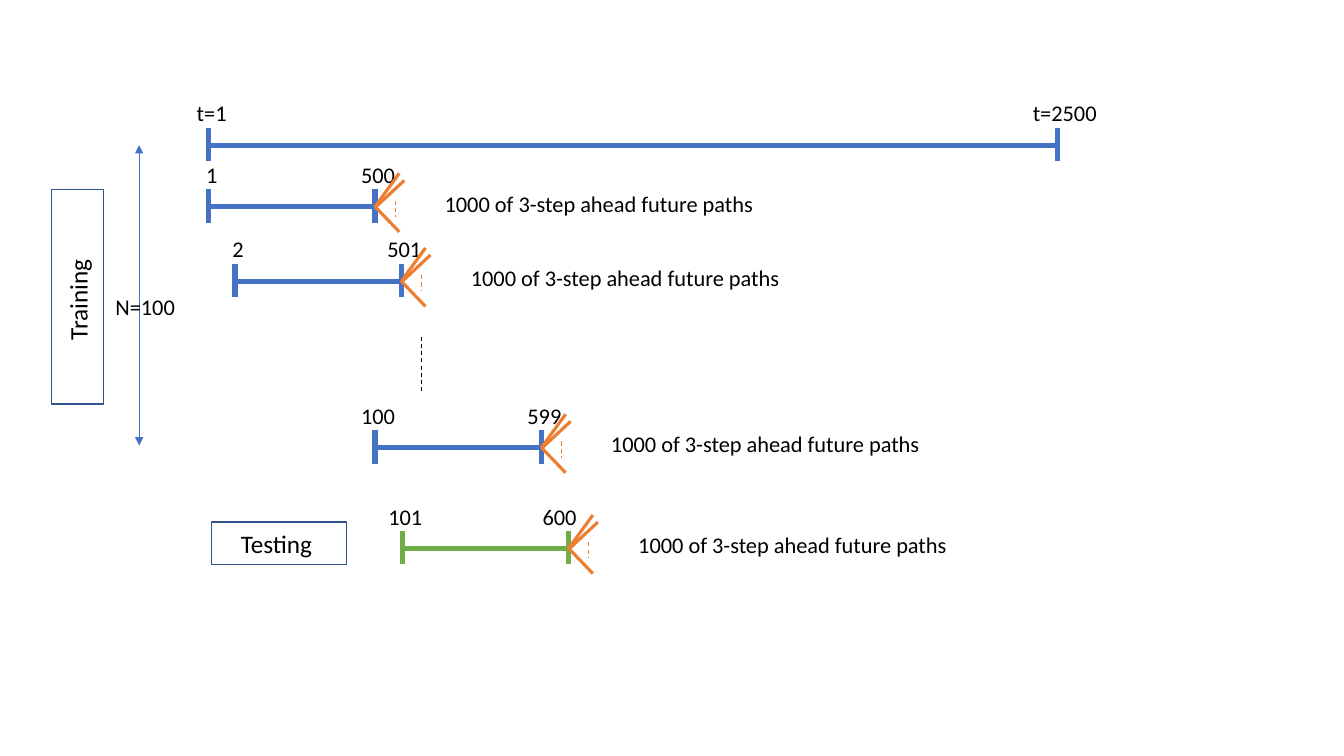
from pptx import Presentation
from pptx import util as u
from pptx.dml.color import RGBColor
from pptx.enum import dml, shapes, text
from pptx.oxml.ns import qn
from lxml import etree

BLUE = RGBColor(0x44, 0x72, 0xC4)
GREEN = RGBColor(0x70, 0xAD, 0x47)
ORANGE = RGBColor(0xED, 0x7D, 0x31)
BORDER = RGBColor(0x32, 0x54, 0x91)
BLACK = RGBColor(0, 0, 0)

FONT = "Calibri"
WINDOW_LENGTH = 1.65
LABEL_SHIFT = 0.03
LABEL_HEIGHT = 0.36
PATHS_LABEL = "1000 of 3-step ahead future paths"

# Start offset from the window's end, then the path's tip offset
FUTURE_PATHS = [(0, 0.24, -0.33), (0.01, 0.29, -0.26), (0, 0.24, 0.25)]

# Window start, axis height, first and last step, colour, last label's shift
WINDOWS = [
    (2.07, 2.05, "1", "500", BLUE, LABEL_SHIFT),
    (2.33, 2.79, "2", "501", BLUE, LABEL_SHIFT),
    (3.72, 4.44, "100", "599", BLUE, LABEL_SHIFT),
    (3.99, 5.44, "101", "600", GREEN, -0.09),
]


def add_line(slide, x1, y1, x2, y2, color, width, dashed=False, arrows=False):
    line = slide.shapes.add_connector(
        shapes.MSO_CONNECTOR.STRAIGHT,
        u.Inches(x1), u.Inches(y1), u.Inches(x2), u.Inches(y2))
    line.line.color.rgb = color
    line.line.width = u.Pt(width)
    if dashed:
        line.line.dash_style = dml.MSO_LINE.DASH
    properties = line._element.spPr
    if arrows:
        outline = properties.find(qn("a:ln"))
        for end in ("a:headEnd", "a:tailEnd"):
            etree.SubElement(outline, qn(end), type="triangle")
    etree.SubElement(properties, qn("a:effectLst"))


def write_text(shape, wording, size):
    frame = shape.text_frame
    frame.word_wrap = True
    frame.margin_left = frame.margin_right = 0
    frame.margin_top = frame.margin_bottom = 0
    frame.vertical_anchor = text.MSO_ANCHOR.MIDDLE
    paragraph = frame.paragraphs[0]
    paragraph.alignment = text.PP_ALIGN.CENTER
    run = paragraph.add_run()
    run.text = wording
    run.font.name = FONT
    run.font.size = u.Pt(size)
    run.font.color.rgb = BLACK


def add_label(slide, center, top, wording, width=0.76, height=LABEL_HEIGHT):
    label = slide.shapes.add_textbox(
        u.Inches(center - width / 2), u.Inches(top),
        u.Inches(width), u.Inches(height))
    write_text(label, wording, 16)


def add_phase(slide, left, top, width, height, wording, upward=False):
    phase = slide.shapes.add_shape(
        shapes.MSO_SHAPE.RECTANGLE, u.Inches(left), u.Inches(top),
        u.Inches(width), u.Inches(height))
    phase.shadow.inherit = False
    phase.fill.background()
    phase.line.color.rgb = BORDER
    phase.line.width = u.Pt(1)
    write_text(phase, wording, 18)
    if upward:
        phase.text_frame._txBody.bodyPr.set("vert", "vert270")


def add_span(slide, start, end, y, color):
    """Draw a time axis with a tick at each end."""
    add_line(slide, start, y, end, y, color, 3.75)
    for tick in (start, end):
        add_line(slide, tick, y + 0.16, tick, y - 0.17, color, 3.75)


def add_future_paths(slide, x, y):
    for drop, dx, dy in FUTURE_PATHS:
        add_line(slide, x, y + drop, x + dx, y + dy, ORANGE, 2.25)
    add_line(slide, x + 0.2, y - 0.06, x + 0.2, y + 0.1, ORANGE, 0.75,
             dashed=True)
    add_label(slide, x + 2.22, y - 0.17, PATHS_LABEL, 3.35, 0.27)


def add_window(slide, start, y, first, last, color, last_shift):
    end = start + WINDOW_LENGTH
    add_span(slide, start, end, y, color)
    add_label(slide, start + LABEL_SHIFT, y - 0.5, first)
    add_label(slide, end + last_shift, y - 0.5, last)
    add_future_paths(slide, end, y)


def main():
    deck = Presentation()
    deck.slide_width = u.Inches(13.33)
    deck.slide_height = u.Inches(7.5)
    slide = deck.slides.add_slide(deck.slide_layouts[6])

    # Whole time series
    add_span(slide, 2.07, 10.49, 1.44, BLUE)
    add_label(slide, 2.1, 0.94, "t=1")
    add_label(slide, 10.56, 0.94, "t=2500", 0.84)

    # Number of training windows
    add_line(slide, 1.38, 1.44, 1.38, 4.42, BLUE, 0.5, arrows=True)
    add_label(slide, 1.44, 2.86, "N=100", 0.84)

    # Rolling windows, with the omitted ones as a dashed line
    for window in WINDOWS:
        add_window(slide, *window)
    add_line(slide, 4.18, 3.34, 4.18, 3.88, BLACK, 0.75, dashed=True)

    # Phases
    add_phase(slide, 0.51, 1.88, 0.52, 2.13, "Training ", upward=True)
    add_phase(slide, 2.1, 5.18, 1.34, 0.42, "Testing ")

    deck.save("out.pptx")


main()
